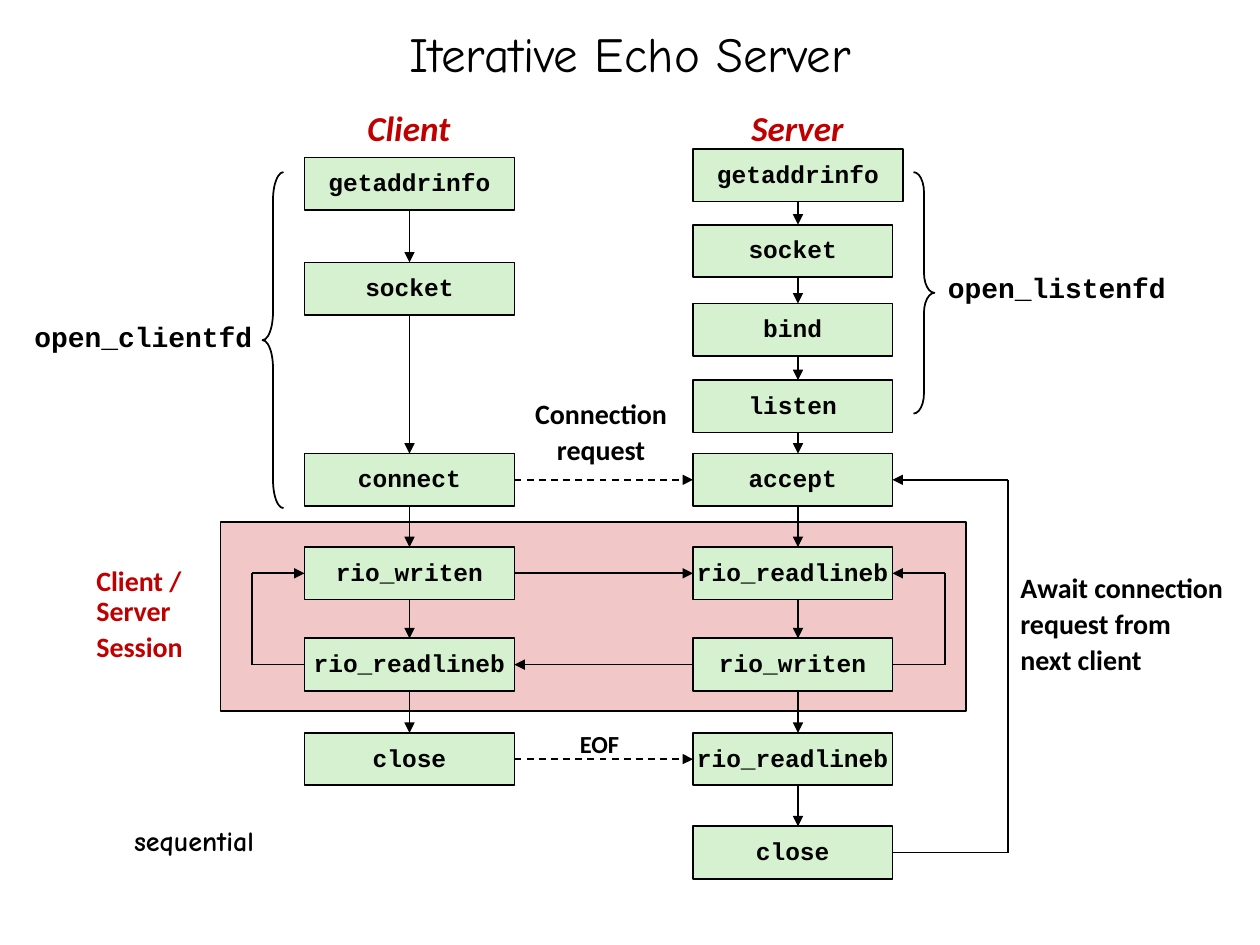
"""Builds the slide about the calls of an iterative echo client and server."""
import itertools

import pptx
import pptx.dml.color
import pptx.enum.dml
import pptx.enum.shapes
import pptx.enum.text
import pptx.oxml
import pptx.oxml.ns
import pptx.shapes.autoshape
import pptx.util

BLACK = pptx.dml.color.RGBColor(0x00, 0x00, 0x00)
RED = pptx.dml.color.RGBColor(0xC0, 0x00, 0x00)
GREEN = pptx.dml.color.RGBColor(0xD5, 0xF1, 0xCF)
PINK = pptx.dml.color.RGBColor(0xF1, 0xC7, 0xC7)

SHAPES = pptx.enum.shapes.MSO_SHAPE
ALIGN = pptx.enum.text.PP_ALIGN
TOP, LEFT, BOTTOM, RIGHT = range(4)

UNITS_PER_INCH = 12
BOX_HEIGHT = 5
CLIENT_LEFT, CLIENT_WIDTH = 29, 20
SERVER_LEFT, SERVER_WIDTH, SERVER_AXIS = 66, 19, 76

CLIENT_CALLS = [
    ("getaddrinfo", 15), ("socket", 25), ("connect", 43.2),
    ("rio_writen", 52.1), ("rio_readlineb", 60.8), ("close", 69.8),
]
SERVER_CALLS = [
    ("getaddrinfo", 14.2), ("socket", 21.4), ("bind", 28.9),
    ("listen", 36.2), ("accept", 43.2), ("rio_readlineb", 52.1),
    ("rio_writen", 60.8), ("rio_readlineb", 69.8), ("close", 78.7),
]


def grid(*units):
    """Turn grid units into lengths."""
    return [pptx.util.Inches(unit / UNITS_PER_INCH) for unit in units]


def write(shape, text, font="Calibri", size=16, color=BLACK, bold=True,
          italic=False, align=ALIGN.CENTER, spacing=0.9, wrap=False):
    """Fill a shape with one paragraph per line of text."""
    frame = shape.text_frame
    frame.word_wrap = wrap
    frame.vertical_anchor = pptx.enum.text.MSO_ANCHOR.MIDDLE
    frame.text = text
    for index, para in enumerate(frame.paragraphs):
        para.alignment = align
        para.line_spacing = spacing
        if index:
            para.space_before = pptx.util.Pt(0.2 * size)
        for span in para.runs:
            span.font.name = font
            span.font.size = pptx.util.Pt(size)
            span.font.color.rgb = color
            span.font.bold = bold
            span.font.italic = italic


def add_label(page, area, text, **style):
    """Add a text box that grows with its text."""
    label = page.shapes.add_textbox(*grid(*area))
    write(label, text, **style)
    label.text_frame.auto_size = pptx.enum.text.MSO_AUTO_SIZE.SHAPE_TO_FIT_TEXT


def add_outline(page, kind, area, fill=None):
    """Add a thin black preset shape, filled or hollow."""
    shape = page.shapes.add_shape(kind, *grid(*area))
    shape.shadow.inherit = False
    shape.line.color.rgb = BLACK
    shape.line.width = pptx.util.Pt(1)
    if fill is None:
        shape.fill.background()
    else:
        shape.fill.solid()
        shape.fill.fore_color.rgb = fill
    return shape


def add_brace(page, kind, area, curve):
    """Add a curly brace with the given depth of curve."""
    brace = add_outline(page, kind, area)
    brace.adjustments[0] = curve
    brace.adjustments[1] = 0.5


def add_calls(page, calls, left, width, first_width):
    """Stack the boxes of one side and return them."""
    boxes = []
    for index, (name, row) in enumerate(calls):
        area = (left, row, width if index else first_width, BOX_HEIGHT)
        box = add_outline(page, SHAPES.RECTANGLE, area, GREEN)
        write(box, name, font="Courier New", size=14)
        boxes.append(box)
    return boxes


def add_segment(page, start, end, arrow=True, dashed=False):
    """Draw a line between two ends, each a grid point or a box and its side."""
    line = page.shapes.add_connector(
        pptx.enum.shapes.MSO_CONNECTOR.STRAIGHT, 0, 0, 0, 0)
    if isinstance(start[0], pptx.shapes.autoshape.Shape):
        line.begin_connect(*start)
    else:
        line.begin_x, line.begin_y = grid(*start)
    if isinstance(end[0], pptx.shapes.autoshape.Shape):
        line.end_connect(*end)
    else:
        line.end_x, line.end_y = grid(*end)
    line.line.color.rgb = BLACK
    line.line.width = pptx.util.Pt(1)
    if dashed:
        line.line.dash_style = pptx.enum.dml.MSO_LINE.DASH
    properties = line.element.spPr
    if arrow:
        outline = properties.find(pptx.oxml.ns.qn("a:ln"))
        outline.append(pptx.oxml.parse_xml(
            f'<a:tailEnd {pptx.oxml.ns.nsdecls("a")} type="triangle"/>'))
    properties.append(pptx.oxml.parse_xml(
        f'<a:effectLst {pptx.oxml.ns.nsdecls("a")}/>'))


def add_return(page, source, target, side, column, source_row, target_row):
    """Lead a line from a box out to a column and back to a higher box."""
    stops = [(source, side), (column, source_row + BOX_HEIGHT / 2),
             (column, target_row + BOX_HEIGHT / 2), (target, side)]
    for start, end in itertools.pairwise(stops):
        add_segment(page, start, end, arrow=end == stops[-1])


def add_flow(page, client, server):
    """Join the calls within each side and across the two sides."""
    for upper, lower in itertools.pairwise(client):
        add_segment(page, (upper, BOTTOM), (lower, TOP))
    for index, (upper, lower) in enumerate(itertools.pairwise(SERVER_CALLS)):
        start = (SERVER_AXIS, upper[1] + BOX_HEIGHT) if index else (server[0], BOTTOM)
        add_segment(page, start, (SERVER_AXIS, lower[1]))

    add_segment(page, (client[2], RIGHT), (server[4], LEFT), dashed=True)
    add_segment(page, (client[3], RIGHT), (server[5], LEFT))
    add_segment(page, (server[6], LEFT), (client[4], RIGHT))
    add_segment(page, (client[5], RIGHT), (server[7], LEFT), dashed=True)

    add_return(page, client[4], client[3], LEFT, 24, 60.8, 52.1)
    add_return(page, server[6], server[5], RIGHT, 90, 60.8, 52.1)
    add_return(page, server[8], server[4], RIGHT, 96, 78.7, 43.2)


def add_labels(page):
    """Add the title, the headings and the notes around the flow."""
    title = page.shapes.add_textbox(*grid(0, 0, 120, 10))
    write(title, "Iterative Echo Server", font="Comic Neue", size=28,
          bold=False, spacing=1, wrap=True)
    heading = {"size": 20, "color": RED, "italic": True}
    add_label(page, (33.8, 10, 10.3, 4.8), "Client", **heading)
    add_label(page, (70.3, 10, 11.3, 4.8), "Server", **heading)
    add_label(page, (8, 53.2, 11, 10.8), "Client / Server\nSession",
              color=RED, align=ALIGN.LEFT, wrap=True)
    add_label(page, (49.7, 37.4, 15.1, 7.7), "Connection\nrequest")
    add_label(page, (54, 69, 6.2, 4.1), "EOF", size=14)
    add_label(page, (96, 54.1, 22, 10.9),
              "Await connection\nrequest from\nnext client", align=ALIGN.LEFT)
    add_label(page, (89, 25.4, 23.3, 4.4), "open_listenfd", font="Courier New")
    add_label(page, (2, 30, 23.3, 4.4), "open_clientfd", font="Courier New")
    add_label(page, (11.6, 77.8, 15.1, 4.4), "sequential",
              font="Comic Neue", align=ALIGN.LEFT, spacing=1)


def main():
    """Build and save the deck."""
    deck = pptx.Presentation()
    deck.slide_width, deck.slide_height = grid(120, 90)
    page = deck.slides.add_slide(deck.slide_layouts[6])
    add_outline(page, SHAPES.RECTANGLE, (21, 49.7, 71, 18), PINK)
    client = add_calls(page, CLIENT_CALLS, CLIENT_LEFT, CLIENT_WIDTH, CLIENT_WIDTH)
    server = add_calls(page, SERVER_CALLS, SERVER_LEFT, SERVER_WIDTH, CLIENT_WIDTH)
    add_flow(page, client, server)
    add_brace(page, SHAPES.LEFT_BRACE, (25, 16.4, 2, 32), 1.33)
    add_brace(page, SHAPES.RIGHT_BRACE, (87, 16.4, 2, 23), 0.96)
    add_labels(page)
    deck.save("out.pptx")


if __name__ == "__main__":
    main()
